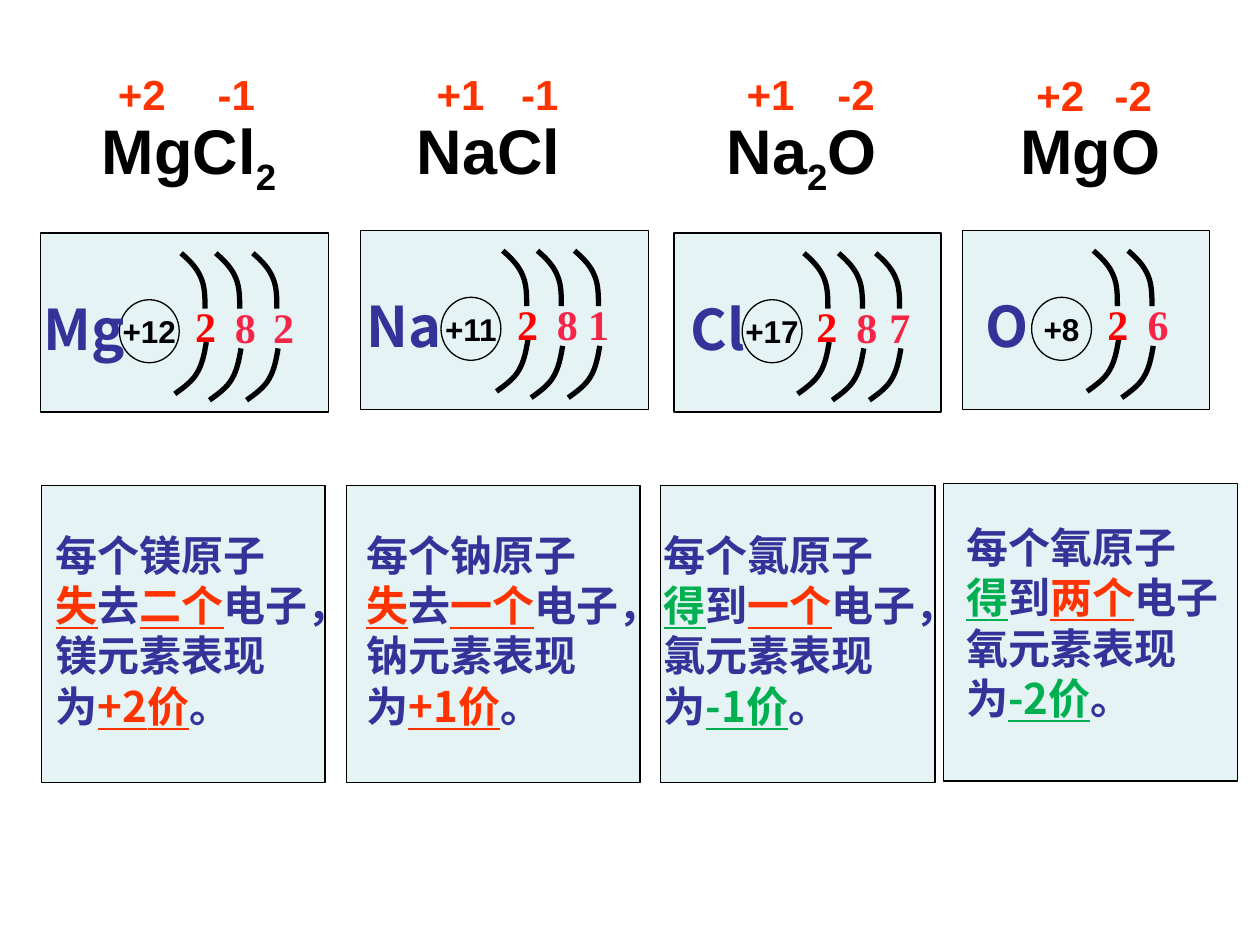
from lxml import etree
from pptx import Presentation
from pptx.dml.color import RGBColor
from pptx.enum.shapes import MSO_SHAPE
from pptx.enum.text import MSO_ANCHOR, PP_ALIGN
from pptx.oxml.ns import qn
from pptx.util import Pt

RECT, OVAL = MSO_SHAPE.RECTANGLE, MSO_SHAPE.OVAL
LEFT, CENTER = PP_ALIGN.LEFT, PP_ALIGN.CENTER
MIDDLE = MSO_ANCHOR.MIDDLE

BLACK, ORANGE, RED, PINK = "000000", "FF3300", "FF0000", "F52548"
GREEN, NAVY, PALE = "00B050", "333399", "BBE0E3"
SANS, SERIF, CJK = "Arial", "Times New Roman", "Noto Sans CJK SC"

# Height of the first baseline below the top of the text, in ems
ASCENT = {SANS: 0.905, SERIF: 0.891, CJK: 0.912}
CJK_LINE = 1.2
BREAK = ("\n", NAVY)

# Shell arcs: Bezier points from the nucleus left edge and the panel top
UPPER_ARC = [(35.3, 11.5), (40.3, 15.8), (44.6, 20.2), (46.8, 25.9),
             (49, 31), (49, 37.4), (49, 43.2)]
LOWER_ARC = [(49.7, 62.3), (48.6, 68.8), (47.5, 74.6), (44.6, 79.6),
             (41.8, 84.7), (36.7, 88.3), (31.7, 91.9)]
SHELL_STEPS = [0, 19.8, 41]

# Formula left, baseline of the charges, formula pieces, (centre, charge)
FORMULAS = [
    (51.1, 61.1, ["MgCl", "2"], [(81, "+2"), (135, "-1")]),
    (231.1, 61.1, ["NaCl"], [(263.2, "+1"), (308.5, "-1")]),
    (408.2, 61.1, ["Na", "2", "O"], [(440.3, "+1"), (489.2, "-2")]),
    (576, 61.7, ["MgO"], [(605.9, "+2"), (647.6, "-2")]),
]

# Panel left, top, width; nucleus left; symbol, its left; charge; shells
ATOMS = [
    (23, 133.2, 164.9, 68.2, "Mg", 14, "+12", [(36.2, "2"), (59, "8"), (80.8, "2")]),
    (205.9, 131.8, 164.9, 252, "Na", 196.6, "+11", [(36.4, "2"), (59.2, "8"), (77, "1")]),
    (385.2, 133.2, 152.6, 424.1, "Cl", 375.8, "+17", [(35.3, "2"), (58.1, "8"), (77, "7")]),
    (550.1, 131.8, 141.1, 589.5, "O", 541.4, "+8", [(36.2, "2"), (59.2, "6")]),
]

# Panel left, top, width; text left, baseline; element, verb, count, end, valence
NOTES = [
    (23.8, 277.3, 162, 24.9, 324.3, "镁", "失去", "二个", "，", "+2"),
    (198, 277.3, 167.8, 202.3, 324.3, "钠", "失去", "一个", "，", "+1"),
    (377.3, 277.3, 157, 372.2, 324.3, "氯", "得到", "一个", "，", "-1"),
    (539.3, 276.3, 167.8, 545, 319.8, "氧", "得到", "两个", "", "-2"),
]


def rgb(hex_colour):
    return RGBColor.from_string(hex_colour)


def format_run(run, size, font, colour):
    run.font.size = Pt(size)
    run.font.name = font
    run.font.bold = True
    run.font.color.rgb = rgb(colour)
    if font == CJK:
        latin = run.font._element.find(qn("a:latin"))
        east_asian = etree.Element(qn("a:ea"), typeface=font)
        latin.addnext(east_asian)


def add_lines(slide, left, baseline, width, lines, size, font, align=LEFT):
    """Text whose first line sits on baseline; a line is (text, colour) runs."""
    box = slide.shapes.add_textbox(
        Pt(left), Pt(baseline - ASCENT[font] * size), Pt(width),
        Pt((len(lines) + sum(line.count(BREAK) for line in lines)) * size * CJK_LINE))
    frame = box.text_frame
    frame.word_wrap = True
    frame.margin_top = frame.margin_bottom = 0
    for i, line in enumerate(lines):
        paragraph = frame.add_paragraph() if i else frame.paragraphs[0]
        paragraph.alignment = align
        if font == CJK:
            paragraph.line_spacing = Pt(size * CJK_LINE)
        for piece in line:
            if piece == BREAK:
                paragraph.add_line_break()
                continue
            run = paragraph.add_run()
            run.text = piece[0]
            format_run(run, size, font, piece[1])
    return frame


def add_outlined(slide, kind, left, top, width, height, filled):
    shape = slide.shapes.add_shape(kind, Pt(left), Pt(top), Pt(width), Pt(height))
    shape.shadow.inherit = False
    shape.line.color.rgb = rgb(BLACK)
    shape.line.width = Pt(0.75)
    if filled:
        shape.fill.solid()
        shape.fill.fore_color.rgb = rgb(PALE)
        colour = shape._element.spPr.find(qn("a:solidFill"))[0]
        etree.SubElement(colour, qn("a:alpha"), val="38000")
    else:
        shape.fill.background()
    return shape


def add_arc(slide, left, top, points):
    vertices = [(Pt(left + x), Pt(top + y)) for x, y in points]
    builder = slide.shapes.build_freeform(*vertices[0], scale=1.0)
    builder.add_line_segments(vertices[1:], close=False)
    arc = builder.convert_to_shape()
    # Each three line segments become one Bezier curve
    segments = list(arc._element.iter(qn("a:lnTo")))
    for start in range(0, len(segments), 3):
        curve = etree.Element(qn("a:cubicBezTo"))
        segments[start].addprevious(curve)
        for segment in segments[start:start + 3]:
            curve.append(segment[0])
            segment.getparent().remove(segment)
    arc.shadow.inherit = False
    arc.fill.background()
    arc.line.color.rgb = rgb(BLACK)
    arc.line.width = Pt(3)


def add_formula(slide, left, charge_baseline, pieces, charges):
    for centre, charge in charges:
        add_lines(slide, centre - 30, charge_baseline, 60, [[(charge, ORANGE)]],
                  24, SANS, CENTER)
    frame = add_lines(slide, left, 96.6, 130, [[(piece, BLACK) for piece in pieces]],
                      36, SANS)
    for run in frame.paragraphs[0].runs:
        if run.text.isdigit():
            run.font._element.set("baseline", "-25000")


def add_atom(slide, left, top, width, nucleus_left, symbol, symbol_left, charge, shells):
    add_outlined(slide, RECT, left, top, width, 102.2, True)
    # Electron shells, inner to outer
    for i, (offset, electrons) in enumerate(shells):
        arc_left = nucleus_left + SHELL_STEPS[i]
        add_arc(slide, arc_left, top, UPPER_ARC)
        add_arc(slide, arc_left, top + (3.6 if i else 0), LOWER_ARC)
        add_lines(slide, nucleus_left + offset, top + (60.4 if i else 59.9), 40,
                  [[(electrons, PINK if i else RED)]], 24, SERIF)
    # Nucleus
    nucleus = add_outlined(slide, OVAL, nucleus_left, top + 38.1, 34.2, 36, False)
    frame = nucleus.text_frame
    frame.word_wrap = False
    frame.vertical_anchor = MIDDLE
    frame.text = charge
    frame.paragraphs[0].alignment = CENTER
    format_run(frame.paragraphs[0].runs[0], 18, SANS, BLACK)
    # Element symbol
    add_lines(slide, symbol_left, top + 64, 68.4, [[(symbol, NAVY)]], 32, CJK, CENTER)


def add_note(slide, left, top, width, text_left, baseline, element, verb, count, end, valence):
    add_outlined(slide, RECT, left, top, width, 170, True)
    accent = GREEN if verb == "得到" else ORANGE
    expression = [(f"{element}元素表现", NAVY)]
    result = [("为", NAVY), (valence + "价", accent), ("。", NAVY)]
    lines = [
        [(f"每个{element}原子", NAVY)],
        [(verb[0], accent), (verb[1], NAVY), (count, ORANGE), ("电子" + end, NAVY)],
    ]
    lines += [expression + [BREAK] + result] if end else [expression, result]
    frame = add_lines(slide, text_left, baseline, 190, lines, 24, CJK)
    for paragraph in frame.paragraphs:
        for run in paragraph.runs:
            if run.font.color.rgb != rgb(NAVY):
                run.font.underline = True


def main():
    prs = Presentation()
    prs.slide_width, prs.slide_height = Pt(720), Pt(540)
    slide = prs.slides.add_slide(prs.slide_layouts[6])
    for atom in ATOMS:
        add_atom(slide, *atom)
    for note in NOTES:
        add_note(slide, *note)
    for formula in FORMULAS:
        add_formula(slide, *formula)
    prs.save("out.pptx")


if __name__ == "__main__":
    main()
